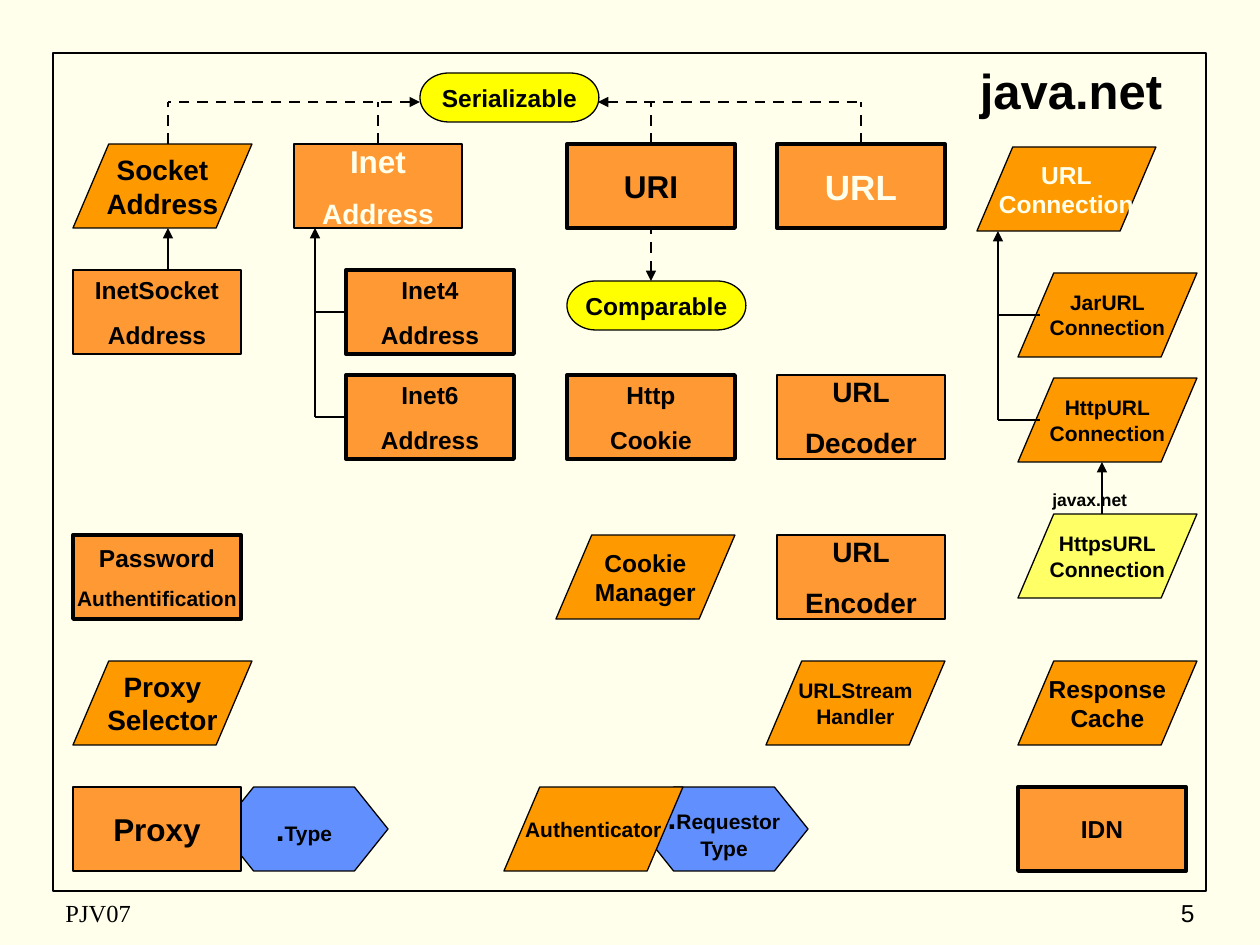
from dataclasses import dataclass

from lxml import etree
from pptx import Presentation
from pptx.dml.color import RGBColor
from pptx.enum.dml import MSO_LINE
from pptx.enum.shapes import MSO_CONNECTOR, MSO_SHAPE
from pptx.enum.text import MSO_ANCHOR, MSO_AUTO_SIZE, PP_ALIGN
from pptx.oxml.ns import qn
from pptx.util import Emu, Pt

RECT = MSO_SHAPE.RECTANGLE
SLANT = MSO_SHAPE.FLOWCHART_DATA
PILL = MSO_SHAPE.FLOWCHART_TERMINATOR
HEX = MSO_SHAPE.FLOWCHART_PREPARATION
STRAIGHT = MSO_CONNECTOR.STRAIGHT
DASH = MSO_LINE.DASH
MIDDLE, TOP = MSO_ANCHOR.MIDDLE, MSO_ANCHOR.TOP
LEFT, MID, RIGHT = PP_ALIGN.LEFT, PP_ALIGN.CENTER, PP_ALIGN.RIGHT
FIT = MSO_AUTO_SIZE.SHAPE_TO_FIT_TEXT
SCALE = 914400 / 126


@dataclass(frozen=True)
class Theme:
    """Colours, fonts, type sizes and line widths of the slide."""
    paper: str = "FFFFEB"
    ink: str = "000000"
    block: str = "FF9933"
    slant: str = "FF9900"
    pale: str = "FFFF66"
    pill: str = "FFFF00"
    hex: str = "618FFD"
    sans: str = "Arial"
    serif: str = "Times New Roman"
    head: int = 28
    huge: int = 20
    big: int = 18
    large: int = 16
    base: int = 14
    small: int = 12
    tiny: int = 10
    hair: float = 0.75
    thin: float = 1
    wire: float = 1.5
    thick: float = 2.25


T = Theme()


def px(*nums):
    """Turn pixel lengths into EMU."""
    return [Emu(round(n * SCALE)) for n in nums]


def rgb(code):
    """Make a colour from its hex code."""
    return RGBColor.from_string(code)


def write(box, rows, size=T.base, color=T.ink, font=T.sans, bold=True,
          align=MID, anchor=MIDDLE, wrap=False, gap=0):
    """Fill a shape with rows, each a string or a list of (text, size) runs."""
    frame = box.text_frame
    frame.word_wrap = wrap
    frame.vertical_anchor = anchor
    for i, row in enumerate(rows):
        runs = [(row, size)] if isinstance(row, str) else row
        para = frame.add_paragraph() if i else frame.paragraphs[0]
        para.alignment = align
        if i and gap:
            para.space_before = Pt(round(gap * runs[0][1], 1))
        for text, points in runs:
            run = para.add_run()
            run.text = text
            run.font.size = Pt(points)
            run.font.name = font
            run.font.bold = bold
            run.font.color.rgb = rgb(color)


def label(slide, x, y, w, h, text, **style):
    """Add a text box."""
    box = slide.shapes.add_textbox(*px(x, y, w, h))
    write(box, [text], **style)
    return box


def shape(slide, kind, x, y, w, h, fill=None, line=T.hair):
    """Add an outlined preset shape."""
    item = slide.shapes.add_shape(kind, *px(x, y, w, h))
    item.shadow.inherit = False
    if fill:
        item.fill.solid()
        item.fill.fore_color.rgb = rgb(fill)
    else:
        item.fill.background()
    item.line.color.rgb = rgb(T.ink)
    item.line.width = Pt(line)
    return item


def block(slide, x, y, *rows, line=T.thick, **style):
    """Add a class box."""
    write(shape(slide, RECT, x, y, 168, 84, T.block, line), rows, gap=0.625, **style)


def slant(slide, x, y, *rows, fill=T.slant, **style):
    """Add an abstract class box."""
    write(shape(slide, SLANT, x, y, 179, 84, fill), rows, **style)


def pill(slide, x, y, name):
    """Add an interface."""
    write(shape(slide, PILL, x, y, 179, 49, T.pill), [name])


def inner(slide, x, y, *rows):
    """Add a nested type."""
    write(shape(slide, HEX, x, y, 168, 84, T.hex), rows, size=T.small)


def wire(slide, x1, y1, x2, y2, dash=False, head=False):
    """Add a line, with an arrowhead at its start if asked."""
    item = slide.shapes.add_connector(STRAIGHT, *px(x1, y1, x2, y2))
    item.line.color.rgb = rgb(T.ink)
    item.line.width = Pt(T.wire)
    if dash:
        item.line.dash_style = DASH
    if head:
        etree.SubElement(item.line._get_or_add_ln(), qn("a:headEnd"), type="triangle")
    etree.SubElement(item._element.spPr, qn("a:effectLst"))


def page(slide):
    """Add the frame, title and footer."""
    shape(slide, RECT, 53, 53, 1153, 838, line=T.thin)
    label(slide, 53, 892, 399, 42, "PJV07", font=T.serif, bold=False, align=LEFT)
    label(slide, 945, 892, 262, 42, "5", bold=False, align=RIGHT)
    label(slide, 924, 53, 294, 73, "java.net", size=T.head, wrap=True)


def types(slide):
    """Add the classes and interfaces."""
    a, b, c, d, e, f = 73, 294, 346, 567, 777, 1018
    one, two, three, four, five, six = 144, 270, 375, 535, 661, 787
    pill(slide, 420, 73, "Serializable")
    pill(slide, d, 281, "Comparable")
    slant(slide, a, one, "Socket", "Address", size=T.large)
    block(slide, b, one, "Inet", [("Address", T.large)],
          size=T.big, color=T.paper, line=T.thin)
    block(slide, d, one, "URI", size=T.big)
    block(slide, e, one, "URL", size=T.huge, color=T.paper)
    slant(slide, 977, 147, "URL", "Connection", color=T.paper)
    block(slide, a, two, "InetSocket", "Address", line=T.thin)
    block(slide, c, two, "Inet4", "Address")
    block(slide, c, three, "Inet6", "Address")
    block(slide, d, three, "Http", "Cookie")
    for y, name in ((three, "Decoder"), (four, "Encoder")):
        block(slide, e, y, "URL", name, size=T.large, line=T.thin)
    for y, name, fill in ((273, "JarURL", T.slant), (378, "HttpURL", T.slant),
                          (514, "HttpsURL", T.pale)):
        slant(slide, f, y, name, "Connection", size=T.small, fill=fill)
    block(slide, a, four, "Password", [("Authentification", T.small)])
    slant(slide, 556, four, "Cookie", "Manager")
    slant(slide, a, five, "Proxy", "Selector", size=T.large)
    slant(slide, 766, five, "URLStream", "Handler", size=T.small)
    slant(slide, f, five, "Response", "Cache")
    inner(slide, 220, six, [(".", T.big), ("Type", T.small)])
    block(slide, a, six, "Proxy", size=T.big, line=T.thin)
    inner(slide, 640, six, [(".", T.big), ("Requestor", T.small)], "Type")
    slant(slide, 504, six, "Authenticator", size=T.small)
    block(slide, f, six, "IDN")


def links(slide):
    """Add the lines of descent."""
    for x in (168, 378, 651, 861):
        wire(slide, x, 144, x, 102, dash=True)
    wire(slide, 420, 102, 168, 102, dash=True, head=True)
    wire(slide, 598, 102, 861, 102, dash=True, head=True)
    wire(slide, 651, 281, 651, 228, dash=True, head=True)
    wire(slide, 168, 228, 168, 270, head=True)
    wire(slide, 1102, 462, 1102, 514, head=True)
    for x, end, top, rungs in ((315, 346, 228, (312, 417)),
                               (998, 1040, 231, (315, 420))):
        wire(slide, x, top, x, rungs[-1], head=True)
        for y in rungs:
            wire(slide, x, y, end, y)


def main():
    """Build and save the slide."""
    deck = Presentation()
    deck.slide_width, deck.slide_height = px(1260, 945)
    slide = deck.slides.add_slide(deck.slide_layouts[6])
    slide.background.fill.solid()
    slide.background.fill.fore_color.rgb = rgb(T.paper)
    page(slide)
    types(slide)
    links(slide)
    note = label(slide, 1040, 483, 105, 34, "javax.net", size=T.tiny,
                 align=LEFT, anchor=TOP, wrap=True)
    note.text_frame.auto_size = FIT
    deck.save("out.pptx")


if __name__ == "__main__":
    main()
